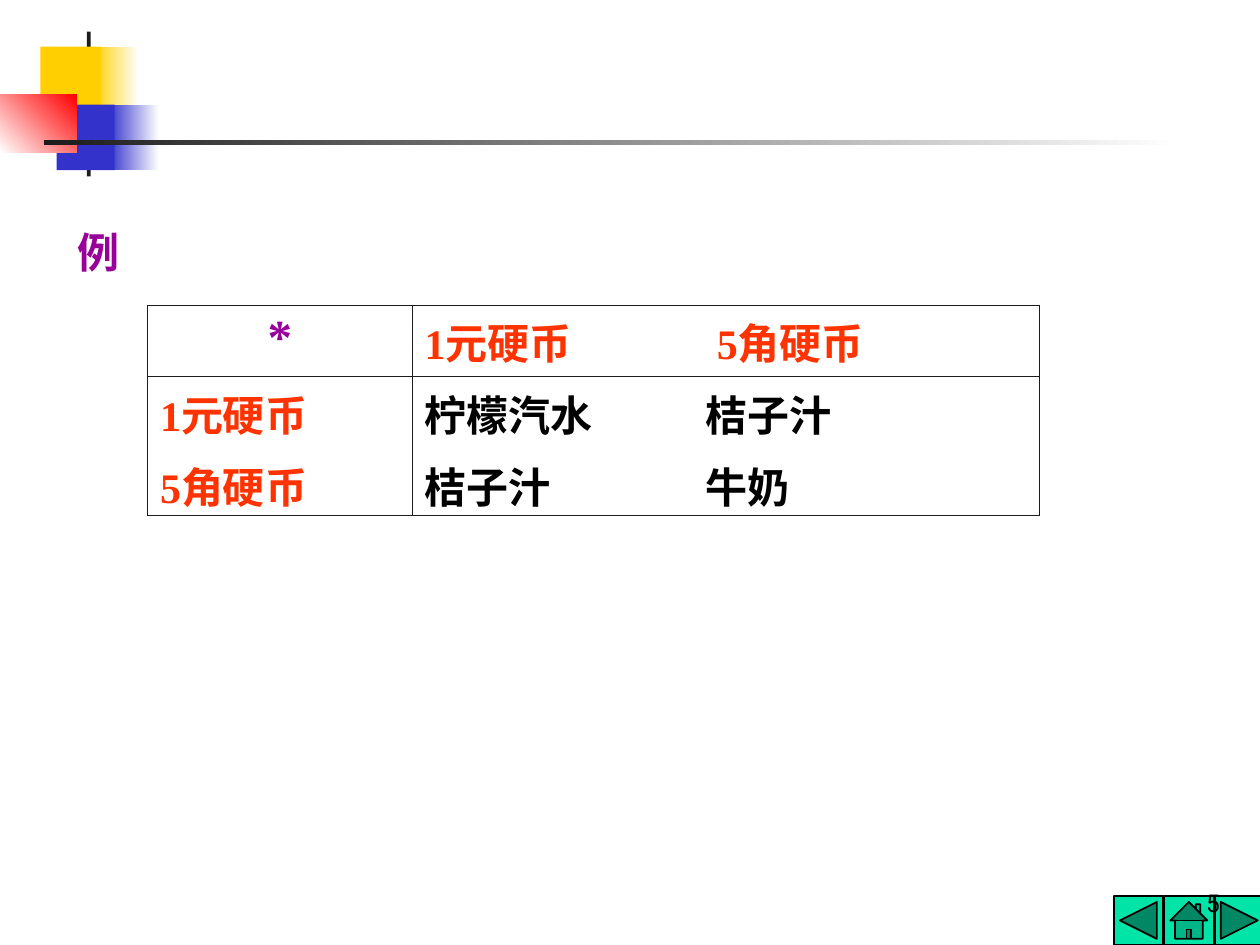
from dataclasses import dataclass

from lxml import etree
from pptx import Presentation
from pptx import util as u
from pptx.dml.color import RGBColor
from pptx.enum import shapes, text
from pptx.oxml.ns import qn


@dataclass(frozen=True)
class Theme:
    ink: str = "1C1C1C"
    black: str = "000000"
    white: str = "FFFFFF"
    yellow: str = "FFCF01"
    blue: str = "3333CC"
    red: str = "FF0000"
    green: str = "00E4A8"
    purple: str = "990099"
    coin: str = "FF3300"
    serif: str = "Times New Roman"
    sans: str = "Roboto"
    number_size: int = 14
    body_size: int = 24
    star_size: int = 28


THEME = Theme()


def rgb(value):
    return RGBColor.from_string(value)


def inches(*values):
    return [u.Inches(value) for value in values]


def style_paragraph(paragraph, size, color, font=THEME.serif, bold=True):
    for run in paragraph.runs:
        run.font.size = u.Pt(size)
        run.font.name = font
        run.font.bold = bold
        run.font.color.rgb = rgb(color)


def add_bar(slide, box, start, end=None, angle=0):
    """Borderless rectangle, plain or fading from start to end."""
    bar = slide.shapes.add_shape(shapes.MSO_SHAPE.RECTANGLE, *inches(*box))
    bar.shadow.inherit = False
    bar.line.fill.background()
    if end is None:
        bar.fill.solid()
        bar.fill.fore_color.rgb = rgb(start)
        return
    bar.fill.gradient()
    bar.fill.gradient_angle = angle
    for stop, color in zip(bar.fill.gradient_stops, (start, end)):
        stop.color.rgb = rgb(color)


def add_nav_button(slide, kind, left):
    button = slide.shapes.add_shape(kind, *inches(left, 7.11, 0.39, 0.39))
    button.shadow.inherit = False
    button.fill.solid()
    button.fill.fore_color.rgb = rgb(THEME.green)
    button.line.color.rgb = rgb(THEME.black)
    button.line.width = u.Pt(1)


def add_label(slide, box, words, **style):
    frame = slide.shapes.add_textbox(*inches(*box)).text_frame
    frame.word_wrap = True
    frame.text = words
    style_paragraph(frame.paragraphs[0], **style)
    return frame


def set_tab(paragraph, position):
    stops = etree.SubElement(paragraph._p.get_or_add_pPr(), qn("a:tabLst"))
    etree.SubElement(stops, qn("a:tab"), pos=str(u.Inches(position)), algn="l")


def set_borders(cell):
    properties = cell._tc.get_or_add_tcPr()
    for index, side in enumerate(("a:lnL", "a:lnR", "a:lnT", "a:lnB")):
        line = etree.Element(qn(side), w=str(u.Pt(0.45)))
        fill = etree.SubElement(line, qn("a:solidFill"))
        etree.SubElement(fill, qn("a:srgbClr"), val=THEME.ink)
        properties.insert(index, line)


def fill_cell(cell, lines, color, size=THEME.body_size, tab=None):
    cell.fill.background()
    set_borders(cell)
    cell.text_frame.text = "\n".join(lines)
    for index, paragraph in enumerate(cell.text_frame.paragraphs):
        if index:
            paragraph.space_before = u.Pt(6)
        if tab:
            set_tab(paragraph, tab)
        style_paragraph(paragraph, size, color)


def add_coin_table(slide):
    table = slide.shapes.add_table(2, 2, *inches(1.17, 2.42, 7.08, 1.67)).table
    table.first_row = table.horz_banding = False
    for column, width in zip(table.columns, (2.1, 4.98)):
        column.width = u.Inches(width)
    for row, height in zip(table.rows, (0.57, 1.1)):
        row.height = u.Inches(height)

    coins = ["1元硬币", "5角硬币"]
    drinks = ["柠檬汽水\t桔子汁", "桔子汁\t牛奶"]
    star = table.cell(0, 0)
    fill_cell(star, ["*"], THEME.purple, THEME.star_size)
    star.text_frame.paragraphs[0].alignment = text.PP_ALIGN.CENTER
    fill_cell(table.cell(0, 1), ["\t".join(coins)], THEME.coin, tab=2.32)
    fill_cell(table.cell(1, 0), coins, THEME.coin)
    fill_cell(table.cell(1, 1), drinks, THEME.black, tab=2.23)


def add_corner_ornament(slide):
    add_bar(slide, (0.74, 0.37, 0.36, 0.52), THEME.yellow, THEME.white)
    add_bar(slide, (0.86, 0.83, 0.4, 0.52), THEME.blue, THEME.white)
    add_bar(slide, (0.69, 0.25, 0.03, 1.15), THEME.ink)
    add_bar(slide, (0.32, 0.37, 0.48, 0.52), THEME.yellow)
    add_bar(slide, (0.45, 0.83, 0.46, 0.52), THEME.blue)
    add_bar(slide, (0, 0.75, 0.61, 0.46), THEME.white, THEME.red, angle=45)
    add_bar(slide, (0.35, 1.11, 9, 0.04), THEME.ink, THEME.white)


def main():
    deck = Presentation()
    deck.slide_width, deck.slide_height = inches(10, 7.5)
    slide = deck.slides.add_slide(deck.slide_layouts[6])

    # Corner squares and title rule
    add_corner_ornament(slide)

    # Navigation buttons
    kinds = (
        shapes.MSO_SHAPE.ACTION_BUTTON_BACK_OR_PREVIOUS,
        shapes.MSO_SHAPE.ACTION_BUTTON_HOME,
        shapes.MSO_SHAPE.ACTION_BUTTON_FORWARD_OR_NEXT,
    )
    for index, kind in enumerate(kinds):
        add_nav_button(slide, kind, 8.84 + 0.4 * index)

    # Page number
    number = add_label(slide, (7.7, 6.83, 2.08, 0.5), "5", color=THEME.black,
                       size=THEME.number_size, font=THEME.sans, bold=False)
    number.vertical_anchor = text.MSO_ANCHOR.BOTTOM
    number.paragraphs[0].alignment = text.PP_ALIGN.RIGHT

    # Example: coins in, drink out
    add_coin_table(slide)
    add_label(slide, (0.52, 1.75, 0.64, 0.5), "例", color=THEME.purple,
              size=THEME.body_size)

    deck.save("out.pptx")


if __name__ == "__main__":
    main()
